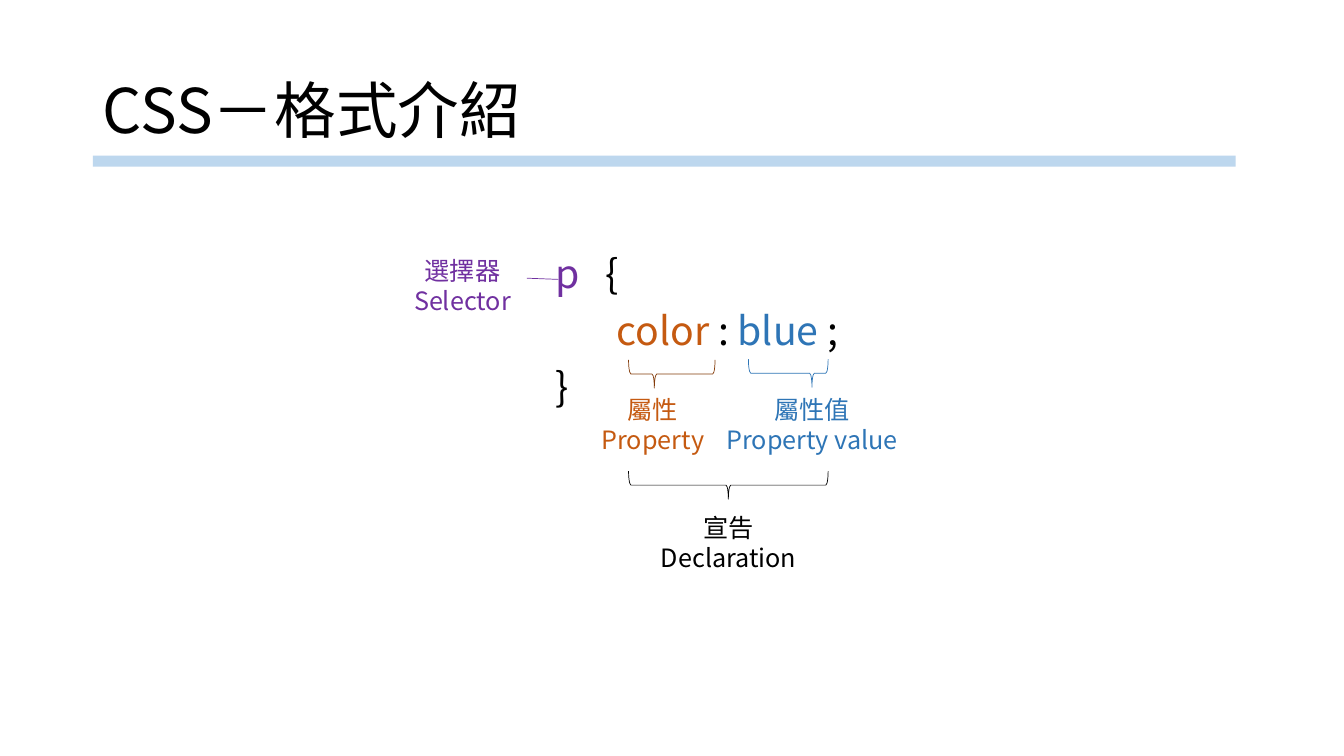
from dataclasses import dataclass

from lxml.etree import SubElement
from pptx import Presentation
from pptx.dml.color import RGBColor
from pptx.enum.shapes import MSO_CONNECTOR, MSO_SHAPE
from pptx.enum.text import MSO_ANCHOR, MSO_AUTO_SIZE, PP_ALIGN
from pptx.oxml.ns import qn
from pptx.util import Cm, Pt


@dataclass(frozen=True)
class Theme:
    font: str = "Noto Sans CJK SC"
    ink: str = "000000"
    selector: str = "7030A0"
    property: str = "C55A11"
    property_brace: str = "843C0B"
    value: str = "2E75B6"
    rule: str = "BDD7EE"
    title_size: int = 44
    code_size: int = 28
    label_size: int = 18
    line_width: float = 0.5


@dataclass(frozen=True)
class Box:
    left: float
    top: float
    width: float
    height: float

    def inside(self, left, top, width, height):
        return Box(self.left + left, self.top + top, width, height)

    def lengths(self):
        return [Cm(value) for value in (self.left, self.top, self.width, self.height)]


THEME = Theme()


def apply_format(target, values):
    for name, value in values.items():
        setattr(target, name, value)


def style_span(span, size, color):
    apply_format(span.font, {"name": THEME.font, "size": Pt(size)})
    span.font.color.rgb = RGBColor.from_string(color)
    SubElement(span.font._element, qn("a:ea"), typeface=THEME.font)


def add_text_frame(page, box, **values):
    frame = page.shapes.add_textbox(*box.lengths()).text_frame
    apply_format(frame, {"word_wrap": True, **values})
    return frame


def add_label(page, box, text, color):
    frame = add_text_frame(page, box, auto_size=MSO_AUTO_SIZE.SHAPE_TO_FIT_TEXT)
    para = frame.paragraphs[0]
    apply_format(para, {"text": text, "alignment": PP_ALIGN.CENTER})
    for span in para.runs:
        style_span(span, THEME.label_size, color)


def add_brace(page, box, color, tip):
    upright = box.inside(
        (box.width - box.height) / 2, (box.height - box.width) / 2, box.height, box.width
    )
    brace = page.shapes.add_shape(MSO_SHAPE.RIGHT_BRACE, *upright.lengths())
    brace.rotation = 90
    brace.shadow.inherit = False
    brace.adjustments[0] = 0.083
    brace.adjustments[1] = tip
    brace.fill.background()
    brace.line.color.rgb = RGBColor.from_string(color)
    brace.line.width = Pt(THEME.line_width)


def add_heading(page, box):
    frame = add_text_frame(
        page, box.inside(0, 0, box.width, 3.68), vertical_anchor=MSO_ANCHOR.MIDDLE
    )
    para = frame.paragraphs[0]
    apply_format(para, {"text": "CSS－格式介紹", "line_spacing": 0.9})
    style_span(para.runs[0], THEME.title_size, THEME.ink)

    rule = page.shapes.add_shape(
        MSO_SHAPE.RECTANGLE, *box.inside(0, 2.9, 28.8, 0.28).lengths()
    )
    rule.shadow.inherit = False
    rule.fill.solid()
    rule.fill.fore_color.rgb = RGBColor.from_string(THEME.rule)
    rule.line.fill.background()


def add_code(page, box):
    lines = [
        (0, [("p", THEME.selector), ("\t{", THEME.ink)]),
        (1.55, [("color", THEME.property), (" : ", THEME.ink),
                ("blue", THEME.value), (" ;", THEME.ink)]),
        (0, [("}", THEME.ink)]),
    ]
    frame = add_text_frame(page, box)
    for number, (indent, spans) in enumerate(lines):
        para = frame.add_paragraph() if number else frame.paragraphs[0]
        apply_format(para, {"line_spacing": 0.9, "space_before": Pt(10)})
        properties = para._p.get_or_add_pPr()
        properties.set("marL", str(Cm(indent)))
        properties.set("indent", "0")
        tabs = SubElement(properties, qn("a:tabLst"))
        SubElement(tabs, qn("a:tab"), pos=str(Cm(1.06)), algn="l")
        for text, color in spans:
            span = para.add_run()
            span.text = text
            style_span(span, THEME.code_size, color)


def add_selector_line(page, box):
    line = page.shapes.add_connector(
        MSO_CONNECTOR.STRAIGHT,
        Cm(box.left), Cm(box.top), Cm(box.left + box.width), Cm(box.top + box.height),
    )
    line.line.color.rgb = RGBColor.from_string(THEME.selector)
    line.line.width = Pt(THEME.line_width)
    SubElement(line._element.spPr, qn("a:effectLst"))


def add_syntax_diagram(page, box):
    add_code(page, box.inside(4.27, 0, 10.24, 6.25))

    labels = [
        ((4.8, 3.5, 4.37, 1.8), "屬性\vProperty", THEME.property),
        ((0, 0, 4.37, 1.8), "選擇器\vSelector", THEME.selector),
        ((8.56, 3.5, 4.88, 1.8), "屬性值\vProperty value", THEME.value),
        ((6.71, 6.48, 4.37, 1.8), "宣告\vDeclaration", THEME.ink),
    ]
    for place, text, color in labels:
        add_label(page, box.inside(*place), text, color)

    braces = [
        ((6.37, 2.77, 2.18, 0.71), THEME.property_brace, 0.702),
        ((9.39, 2.75, 2.01, 0.71), THEME.value, 0.203),
        ((6.37, 5.57, 5.03, 0.71), THEME.ink, 0.5),
    ]
    for place, color, tip in braces:
        add_brace(page, box.inside(*place), color, tip)

    add_selector_line(page, box.inside(3.81, 0.71, 0.79, 0.03))


def main():
    deck = Presentation()
    apply_format(deck, {"slide_width": Cm(33.87), "slide_height": Cm(19.05)})
    page = deck.slides.add_slide(deck.slide_layouts[6])
    add_heading(page, Box(2.34, 1.02, 29.21, 3.68))
    add_syntax_diagram(page, Box(9.47, 6.3, 14.51, 8.28))
    deck.save("out.pptx")


if __name__ == "__main__":
    main()
